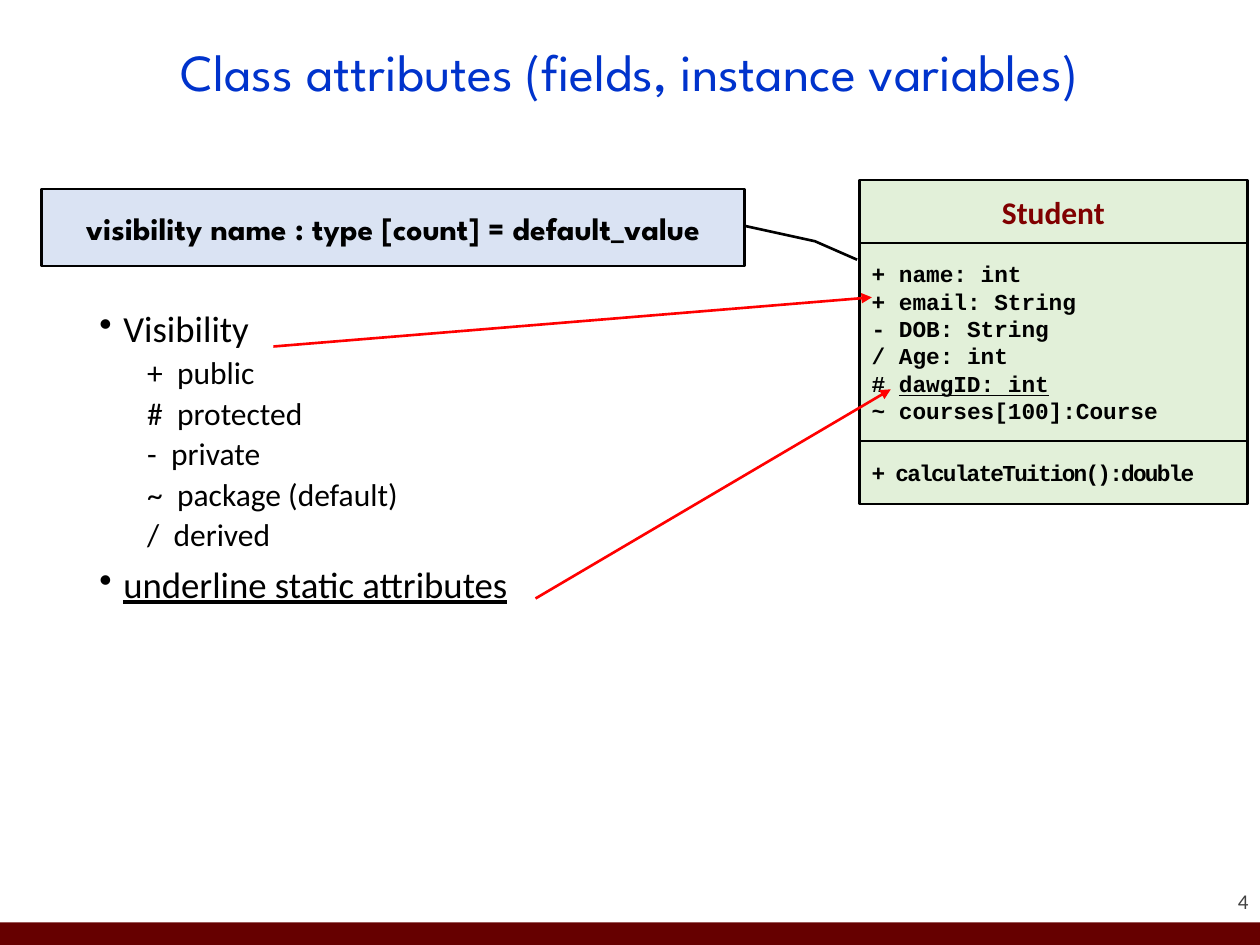
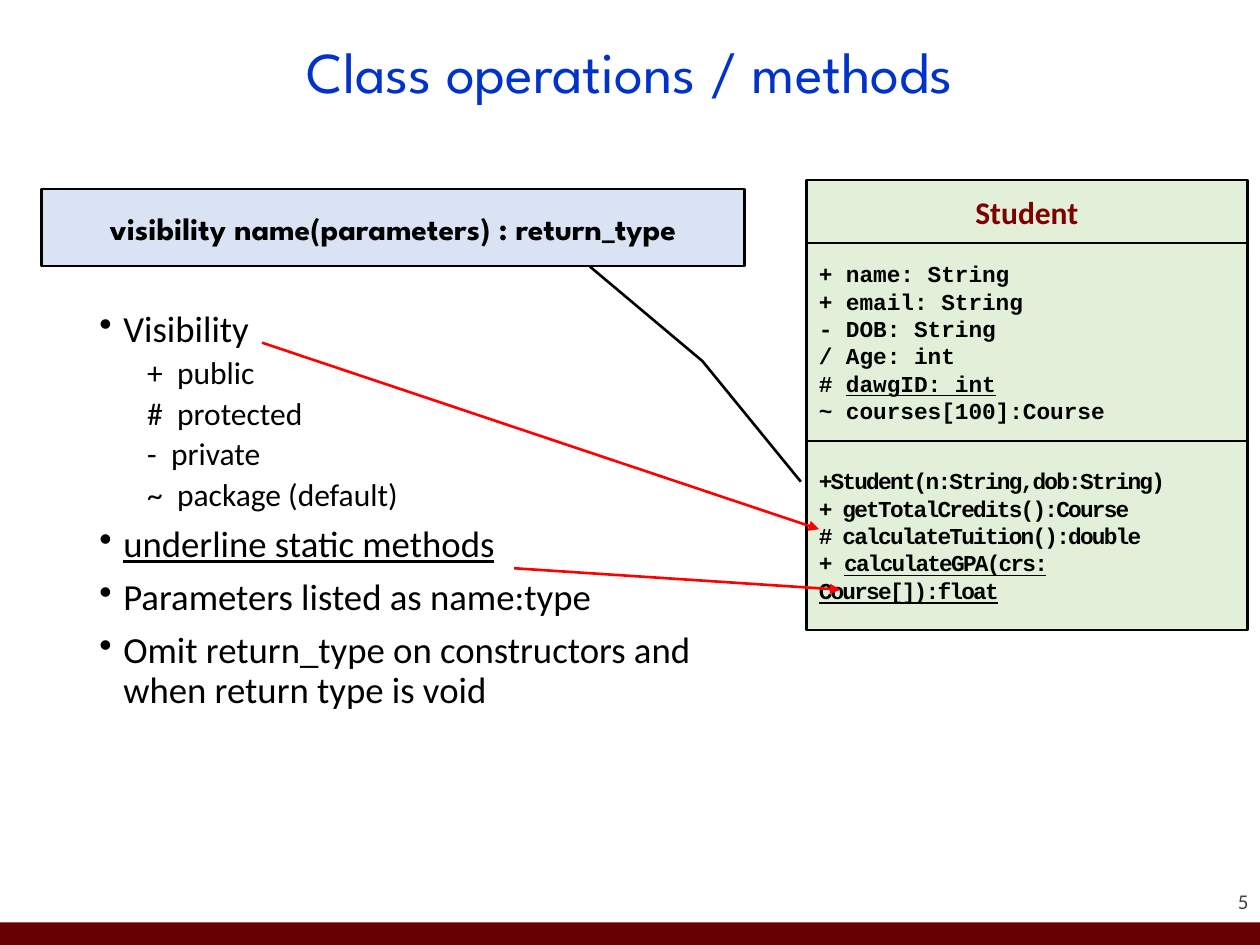
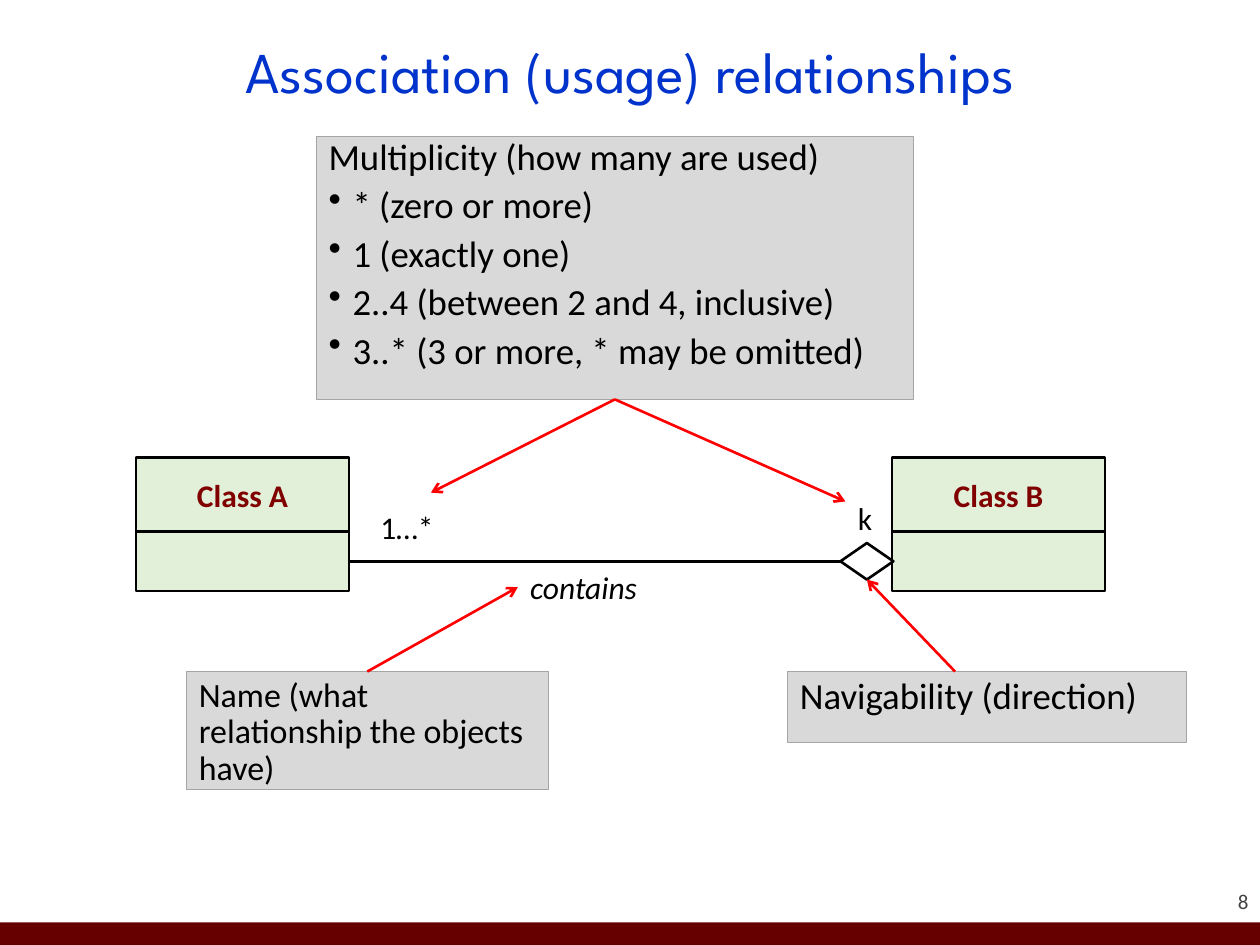
from dataclasses import dataclass

import pptx
import pptx.dml.color
import pptx.enum.dml
import pptx.enum.shapes
import pptx.enum.text
import pptx.oxml.ns
import pptx.oxml.xmlchemy
import pptx.util
from lxml import etree
from pptx.dml.color import RGBColor
from pptx.enum.shapes import MSO_CONNECTOR, MSO_SHAPE
from pptx.enum.text import MSO_ANCHOR, PP_ALIGN
from pptx.oxml.ns import qn
from pptx.util import Inches, Pt

BLACK = RGBColor(0x00, 0x00, 0x00)
RED = RGBColor(0xFF, 0x00, 0x00)
MAROON = RGBColor(0x66, 0x00, 0x00)
CLASS_NAME = RGBColor(0x80, 0x00, 0x00)
TITLE_BLUE = RGBColor(0x00, 0x33, 0xCC)
NUMBER_GREY = RGBColor(0x42, 0x42, 0x42)
CLASS_GREEN = RGBColor(0xE2, 0xF0, 0xD9)
SYNTAX_BLUE = RGBColor(0xDA, 0xE3, 0xF3)
NOTE_GREY = RGBColor(0xD9, 0xD9, 0xD9)
NOTE_EDGE = RGBColor(0xA5, 0xA5, 0xA5)

BODY_FONT = "Calibri"
CODE_FONT = "Courier New"
TITLE_FONT = "League Spartan"


@dataclass(frozen=True)
class Box:
    left: float
    top: float
    width: float
    height: float

    def lengths(self):
        return [Inches(v) for v in (self.left, self.top, self.width, self.height)]


@dataclass(frozen=True)
class Item:
    """A line of text; the underlined part follows the plain part."""
    text: str
    underlined: str = ""
    level: int = 0


@dataclass(frozen=True)
class Compartment:
    """One section of a class box below its name."""
    height: float
    items: tuple[Item, ...] = ()
    spacing: float = 0


@dataclass(frozen=True)
class Arrow:
    start: tuple[float, float]
    end: tuple[float, float]


@dataclass(frozen=True)
class SyntaxSlide:
    """A slide that explains the notation of one class compartment."""
    number: int
    title: str
    title_size: float
    syntax: str
    pointer: tuple[float, ...]
    bullets: tuple[Item, ...]
    class_left: float
    compartments: tuple[Compartment, ...]
    arrows: tuple[Arrow, ...]


VISIBILITY = (
    Item("Visibility"),
    Item("+  public", level=1),
    Item("#  protected", level=1),
    Item("-  private", level=1),
    Item("~  package (default)", level=1),
)
SHARED_FIELDS = (
    Item("+ email: String"),
    Item("- DOB: String"),
    Item("/ Age: int"),
    Item("# ", "dawgID: int"),
    Item("~ courses[100]:Course"),
)
SYNTAX_SLIDES = (
    SyntaxSlide(
        4, "Class attributes (fields, instance variables)", 29.7,
        "visibility name : type [count] = default_value",
        (0.48, 1, 0.68, 1.1, 0.92, 1.16),
        VISIBILITY + (Item("/  derived", level=1),
                      Item("", "underline static attributes")),
        6.82,
        (Compartment(1.57, (Item("+ name: int"),) + SHARED_FIELDS),
         Compartment(0.5, (Item("+ calculateTuition():double"),), -1)),
        (Arrow((2.17, 2.75), (6.92, 2.36)), Arrow((4.25, 4.75), (7.07, 3.09))),
    ),
    SyntaxSlide(
        5, "Class operations / methods", 33,
        "visibility name(parameters) : return_type",
        (1.01, 0.78, 2.24, 0.94, 3.81, 1.08),
        VISIBILITY + (Item("", "underline static methods"),
                      Item("Parameters listed as name:type"),
                      Item("Omit return_type on constructors and when return type is void")),
        6.4,
        (Compartment(1.57, (Item("+ name: String"),) + SHARED_FIELDS),
         Compartment(1.5, (Item("+Student(n:String,dob:String)"),
                           Item("+ getTotalCredits():Course"),
                           Item("# calculateTuition():double"),
                           Item("+ ", "calculateGPA(crs: Course[]):float")), -1)),
        (Arrow((2.08, 2.72), (6.5, 4.2)), Arrow((4.08, 4.51), (6.67, 4.68))),
    ),
)
CLASS_RIGHT = 9.9
MULTIPLICITIES = (
    "* (zero or more)",
    "1 (exactly one)",
    "2..4 (between 2 and 4, inclusive)",
    "3..* (3 or more, * may be omitted)",
)


def add_text(tf, text: str, *, underlined: str = "", size: float = 18,
             font: str = BODY_FONT, color: RGBColor = BLACK, bold: bool = False,
             italic: bool = False, align=PP_ALIGN.LEFT, line_spacing: float = 1.0,
             before: float = 0, margin: float = 0, bullet: bool = False,
             spacing: float = 0) -> None:
    """Add a paragraph, filling the empty first one before making more."""
    p = tf.paragraphs[0]
    if p.runs:
        p = tf.add_paragraph()
        p.space_before = Pt(before)
    else:
        p.space_before = Pt(0)
    p.alignment = align
    p.line_spacing = line_spacing
    pPr = p._p.get_or_add_pPr()
    pPr.set("marL", str(Inches(margin)))
    pPr.set("indent", str(Inches(-margin if bullet else 0)))
    if bullet:
        etree.SubElement(pPr, qn("a:buChar")).set("char", "•")
    for part, underline in ((text, False), (underlined, True)):
        if not part:
            continue
        r = p.add_run()
        r.text = part
        r.font.size = Pt(size)
        r.font.name = font
        r.font.color.rgb = color
        r.font.bold = bold
        r.font.italic = italic
        r.font.underline = underline
        if spacing:
            r._r.get_or_add_rPr().set("spc", str(round(spacing * 100)))


def add_textbox(s, box: Box, wrap: bool = True):
    sp = s.shapes.add_textbox(*box.lengths())
    sp.text_frame.word_wrap = wrap
    return sp


def add_box(shapes, kind, box: Box, fill: RGBColor | None,
            line: RGBColor | None = BLACK, width: float = 1.5,
            anchor=MSO_ANCHOR.MIDDLE):
    sp = shapes.add_shape(kind, *box.lengths())
    sp.shadow.inherit = False
    if fill is None:
        sp.fill.background()
    else:
        sp.fill.solid()
        sp.fill.fore_color.rgb = fill
    if line is None:
        sp.line.fill.background()
    else:
        sp.line.color.rgb = line
        sp.line.width = Pt(width)
    sp.text_frame.word_wrap = True
    sp.text_frame.vertical_anchor = anchor
    return sp


def add_note(s, box: Box):
    return add_box(s.shapes, MSO_SHAPE.RECTANGLE, box, NOTE_GREY, NOTE_EDGE, 0.5,
                   MSO_ANCHOR.TOP)


def add_line(s, arrow: Arrow, color: RGBColor = RED, head: str = "",
             begin=None, end=None):
    """Draw a line; begin and end are (shape, side) pairs to join."""
    points = [Inches(v) for v in (*arrow.start, *arrow.end)]
    line = s.shapes.add_connector(MSO_CONNECTOR.STRAIGHT, *points)
    line.line.color.rgb = color
    line.line.width = Pt(1.5)
    if head:
        etree.SubElement(line.line._get_or_add_ln(), qn("a:tailEnd")).set("type", head)
    etree.SubElement(line._element.spPr, qn("a:effectLst"))
    if begin:
        line.begin_connect(*begin)
    if end:
        line.end_connect(*end)
    return line


def add_class(s, name: str, header: Box, compartments: tuple[Compartment, ...]):
    """Draw a class as stacked boxes and return the lowest one."""
    shapes = s.shapes.add_group_shape().shapes
    sp = add_box(shapes, MSO_SHAPE.FLOWCHART_PROCESS, header, CLASS_GREEN)
    add_text(sp.text_frame, name, color=CLASS_NAME, bold=True, align=PP_ALIGN.CENTER)
    top = header.top + header.height
    for part in compartments:
        sp = add_box(shapes, MSO_SHAPE.FLOWCHART_PROCESS,
                     Box(header.left, top, header.width, part.height), CLASS_GREEN)
        for item in part.items:
            add_text(sp.text_frame, item.text, underlined=item.underlined, size=13,
                     font=CODE_FONT, bold=True, spacing=part.spacing)
        top += part.height
    return sp


def add_slide(prs, number: int, title: str, title_size: float = 33):
    s = prs.slides.add_slide(prs.slide_layouts[5])
    add_box(s.shapes, MSO_SHAPE.RECTANGLE, Box(0, 7.32, 10, 0.18), MAROON, None)

    tf = add_textbox(s, Box(9.08, 6.85, 0.83, 0.4)).text_frame
    tf.margin_left = tf.margin_right = tf.margin_top = tf.margin_bottom = 0
    tf.vertical_anchor = MSO_ANCHOR.BOTTOM
    add_text(tf, str(number), size=12, color=NUMBER_GREY, align=PP_ALIGN.RIGHT)

    sp = s.shapes.title
    sp.left, sp.top, sp.width, sp.height = Box(0.69, 0.12, 8.62, 0.94).lengths()
    tf = sp.text_frame
    tf.auto_size = pptx.enum.text.MSO_AUTO_SIZE.NONE
    tf.vertical_anchor = MSO_ANCHOR.MIDDLE
    add_text(tf, title, size=title_size, font=TITLE_FONT, color=TITLE_BLUE,
             align=PP_ALIGN.CENTER, line_spacing=0.9)
    return s


def add_syntax_slide(prs, content: SyntaxSlide) -> None:
    s = add_slide(prs, content.number, content.title, content.title_size)
    tf = add_textbox(s, Box(0.69, 2.42, 5.48, 4.34)).text_frame
    for item in content.bullets:
        top_level = item.level == 0
        add_text(tf, item.text, underlined=item.underlined,
                 size=21 if top_level else 18, line_spacing=0.9,
                 before=7.5 if top_level else 3.75,
                 margin=0.19 if top_level else 0.38, bullet=top_level)

    header = Box(content.class_left, 1.43, CLASS_RIGHT - content.class_left, 0.5)
    add_class(s, "Student", header, content.compartments)
    for arrow in content.arrows:
        add_line(s, arrow, head="triangle")

    callout = add_box(s.shapes, MSO_SHAPE.LINE_CALLOUT_2, Box(0.33, 1.5, 5.58, 0.61),
                      SYNTAX_BLUE)
    for i, value in enumerate(content.pointer):
        callout.adjustments[i] = value
    add_text(callout.text_frame, content.syntax, font=TITLE_FONT, bold=True,
             align=PP_ALIGN.CENTER)


def add_association_slide(prs) -> None:
    s = add_slide(prs, 8, "Association (usage) relationships")
    multiplicity = add_note(s, Box(2.51, 1.08, 4.74, 2.09))
    tf = multiplicity.text_frame
    add_text(tf, "Multiplicity (how many are used)", size=21, line_spacing=0.8)
    for text in MULTIPLICITIES:
        add_text(tf, text, size=21, line_spacing=0.8, before=7.5, margin=0.19,
                 bullet=True)

    empty = (Compartment(0.47),)
    add_class(s, "Class B", Box(7.08, 3.63, 1.69, 0.59), empty)
    class_a = add_class(s, "Class A", Box(1.08, 3.63, 1.69, 0.59), empty)
    diamond = add_box(s.shapes, MSO_SHAPE.DIAMOND, Box(6.67, 4.31, 0.42, 0.29), None)
    add_line(s, Arrow((2.77, 4.46), (6.67, 4.46)), BLACK,
             begin=(class_a, 3), end=(diamond, 1))

    labels = {}
    for text, left, top, width in (("1…*", 2.92, 3.98, 0.63), ("k", 6.71, 3.91, 0.32),
                                   ("contains", 4.11, 4.46, 1.06)):
        labels[text] = add_textbox(s, Box(left, top, width, 0.4), wrap=False)
        add_text(labels[text].text_frame, text, italic=text == "contains")

    name = add_note(s, Box(1.48, 5.33, 2.87, 0.94))
    add_text(name.text_frame, "Name (what relationship the objects have)", size=19.4,
             line_spacing=0.9)
    navigability = add_note(s, Box(6.25, 5.33, 3.17, 0.56))
    add_text(navigability.text_frame, "Navigability (direction)", size=21,
             line_spacing=0.9)

    for end in ((3.42, 3.91), (6.71, 3.98)):
        add_line(s, Arrow((4.88, 3.17), end), head="arrow", begin=(multiplicity, 2))
    add_line(s, Arrow((2.92, 5.33), (4.11, 4.66)), head="arrow",
             begin=(name, 0), end=(labels["contains"], 1))
    add_line(s, Arrow((7.58, 5.33), (6.88, 4.6)), head="arrow", end=(diamond, 2))


def main() -> None:
    prs = pptx.Presentation()
    prs.slide_width, prs.slide_height = Inches(10), Inches(7.5)
    for content in SYNTAX_SLIDES:
        add_syntax_slide(prs, content)
    add_association_slide(prs)
    prs.save("out.pptx")


if __name__ == "__main__":
    main()
